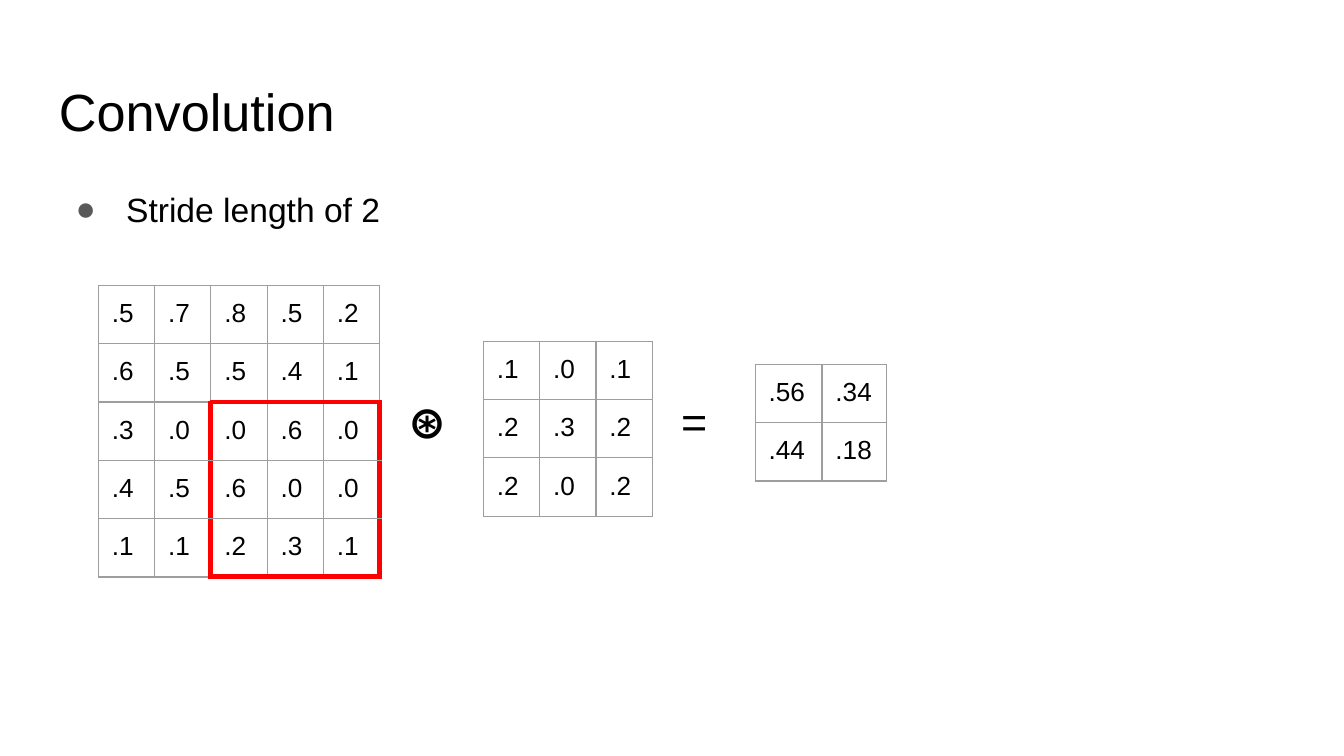
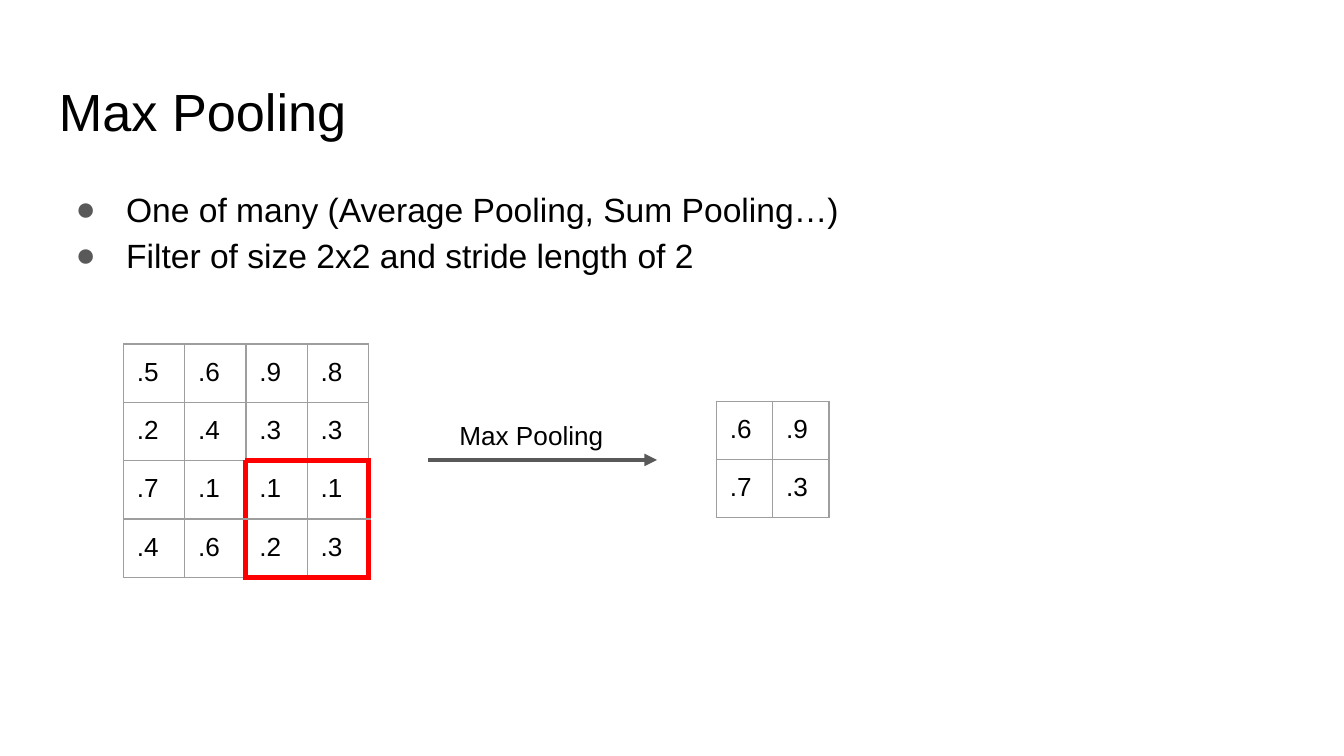
import pptx
import pptx.util
import pptx.dml.color
import pptx.enum.shapes
import pptx.enum.text
import pptx.oxml
from pptx.oxml.ns import nsdecls, qn

Pt = pptx.util.Pt

COLORS = {"text": "000000", "gray": "595959", "grid": "9E9E9E", "window": "FF0000", "bg": "FFFFFF"}
FONT = "Arial"
INSET = 7.2
GRID_LINE, WINDOW_LINE = 0.75, 3
TITLE_BOX = (24.5, 35.1, 671, 45.1)
BODY_BOX = (24.5, 90.7, 671, 269)

SLIDES = [
    {
        "title": "Convolution",
        "bullets": ["Stride length of 2"],
        "items": [
            {"kind": "grid", "at": (52.7, 152.9), "cols": [30.14] * 5, "row": 30.1, "window": (2, 2),
             "rows": [".5 .7 .8 .5 .2", ".6 .5 .5 .4 .1", ".3 .0 .0 .6 .0",
                      ".4 .5 .6 .0 .0", ".1 .1 .2 .3 .1"]},
            {"kind": "label", "text": "⊛", "at": (211.7, 203.8, 39.6, 45.4), "size": 24, "bold": True},
            {"kind": "label", "text": "=", "at": (357.8, 203.8, 31, 45.4), "size": 24},
            {"kind": "grid", "at": (259, 182.8), "cols": [30.14] * 3, "row": 30.1,
             "rows": [".1 .0 .1", ".2 .3 .2", ".2 .0 .2"]},
            {"kind": "grid", "at": (404.6, 195.2), "cols": [35.8, 34.6], "row": 30.1,
             "rows": [".56 .34", ".44 .18"]},
        ],
    },
    {
        "title": "Max Pooling",
        "bullets": ["One of many (Average Pooling, Sum Pooling…)",
                    "Filter of size 2x2 and stride length of 2"],
        "items": [
            {"kind": "grid", "at": (66.1, 184.3), "cols": [32.83] * 4, "row": 30.1, "window": (2, 2),
             "rows": [".5 .6 .9 .8", ".2 .4 .3 .3", ".7 .1 .1 .1", ".4 .6 .2 .3"]},
            {"kind": "arrow", "ends": (229.5, 246.4, 352, 246.4), "width": 2.25},
            {"kind": "label", "text": "Max Pooling", "at": (239, 217.4, 103.7, 28.8), "size": 14},
            {"kind": "grid", "at": (383.8, 214.9), "cols": [30.14] * 2, "row": 30.6,
             "rows": [".6 .9", ".7 .3"]},
        ],
    },
]


def rgb(name):
    return pptx.dml.color.RGBColor.from_string(COLORS[name])


def set_attrs(target, values):
    for name, value in values.items():
        setattr(target, name, value)


def write(p, text, size, bold=False):
    r = p.add_run()
    r.text = text
    set_attrs(r.font, {"name": FONT, "size": Pt(size), "bold": bold})
    r.font.color.rgb = rgb("text")


def add_text(s, box, lines, size, bold=False):
    tf = s.shapes.add_textbox(*map(Pt, box)).text_frame
    set_attrs(tf, {"word_wrap": True, "vertical_anchor": pptx.enum.text.MSO_ANCHOR.TOP})
    set_attrs(tf, {f"margin_{side}": Pt(INSET) for side in ("left", "top", "right", "bottom")})
    for i, line in enumerate(lines):
        p = tf.add_paragraph() if i else tf.paragraphs[0]
        write(p, line, size, bold)
    return tf


def add_bullets(s, lines):
    for p in add_text(s, BODY_BOX, lines, 18).paragraphs:
        p.line_spacing = 1.15
        pPr = p._p.get_or_add_pPr()
        pPr.set("marL", str(Pt(36)))
        pPr.set("indent", str(-Pt(27)))
        for xml in (f'<a:buClr {nsdecls("a")}><a:srgbClr val="{COLORS["gray"]}"/></a:buClr>',
                    f'<a:buFont {nsdecls("a")} typeface="{FONT}"/>',
                    f'<a:buChar {nsdecls("a")} char="●"/>'):
            pPr.append(pptx.oxml.parse_xml(xml))


def add_border(cell, side, in_window):
    color, width = ("window", WINDOW_LINE) if in_window else ("grid", GRID_LINE)
    cell._tc.get_or_add_tcPr().append(pptx.oxml.parse_xml(
        f'<a:ln{side} {nsdecls("a")} w="{Pt(width)}"><a:solidFill>'
        f'<a:srgbClr val="{COLORS[color]}"/></a:solidFill></a:ln{side}>'))


def window_edges(row, col, n_rows, n_cols, window):
    top, left = window or (n_rows + 1, n_cols + 1)
    return {
        "L": col == left and row >= top,
        "R": col in (left - 1, n_cols - 1) and row >= top,
        "T": row == top and col >= left,
        "B": row in (top - 1, n_rows - 1) and col >= left,
    }


def add_grid(s, item):
    rows = [line.split() for line in item["rows"]]
    cols, height = item["cols"], item["row"]
    box = (*item["at"], sum(cols), height * len(rows))
    table = s.shapes.add_table(len(rows), len(cols), *map(Pt, box)).table
    set_attrs(table, {"first_row": False, "horz_banding": False})
    for column, width in zip(table.columns, cols):
        column.width = Pt(width)
    for i, values in enumerate(rows):
        table.rows[i].height = Pt(height)
        for j, value in enumerate(values):
            cell = table.cell(i, j)
            set_attrs(cell, {f"margin_{side}": Pt(INSET) for side in ("left", "top", "right", "bottom")})
            edges = window_edges(i, j, len(rows), len(cols), item.get("window"))
            for side, in_window in edges.items():
                add_border(cell, side, in_window)
            cell.fill.background()
            write(cell.text_frame.paragraphs[0], value, 14)


def add_label(s, item):
    add_text(s, item["at"], [item["text"]], item["size"], item.get("bold", False))


def add_arrow(s, item):
    sp = s.shapes.add_connector(pptx.enum.shapes.MSO_CONNECTOR.STRAIGHT, *map(Pt, item["ends"]))
    sp.line.color.rgb = rgb("gray")
    sp.line.width = Pt(item["width"])
    spPr = sp._element.spPr
    spPr.find(qn("a:ln")).append(pptx.oxml.parse_xml(f'<a:tailEnd {nsdecls("a")} type="triangle"/>'))
    spPr.append(pptx.oxml.parse_xml(f'<a:effectLst {nsdecls("a")}/>'))


DRAW = {"grid": add_grid, "label": add_label, "arrow": add_arrow}


def main():
    prs = pptx.Presentation()
    set_attrs(prs, {"slide_width": Pt(720), "slide_height": Pt(405)})
    for content in SLIDES:
        s = prs.slides.add_slide(prs.slide_layouts[6])
        s.background.fill.solid()
        s.background.fill.fore_color.rgb = rgb("bg")
        add_text(s, TITLE_BOX, [content["title"]], 28)
        add_bullets(s, content["bullets"])
        for item in content["items"]:
            DRAW[item["kind"]](s, item)
    prs.save("out.pptx")


if __name__ == "__main__":
    main()
